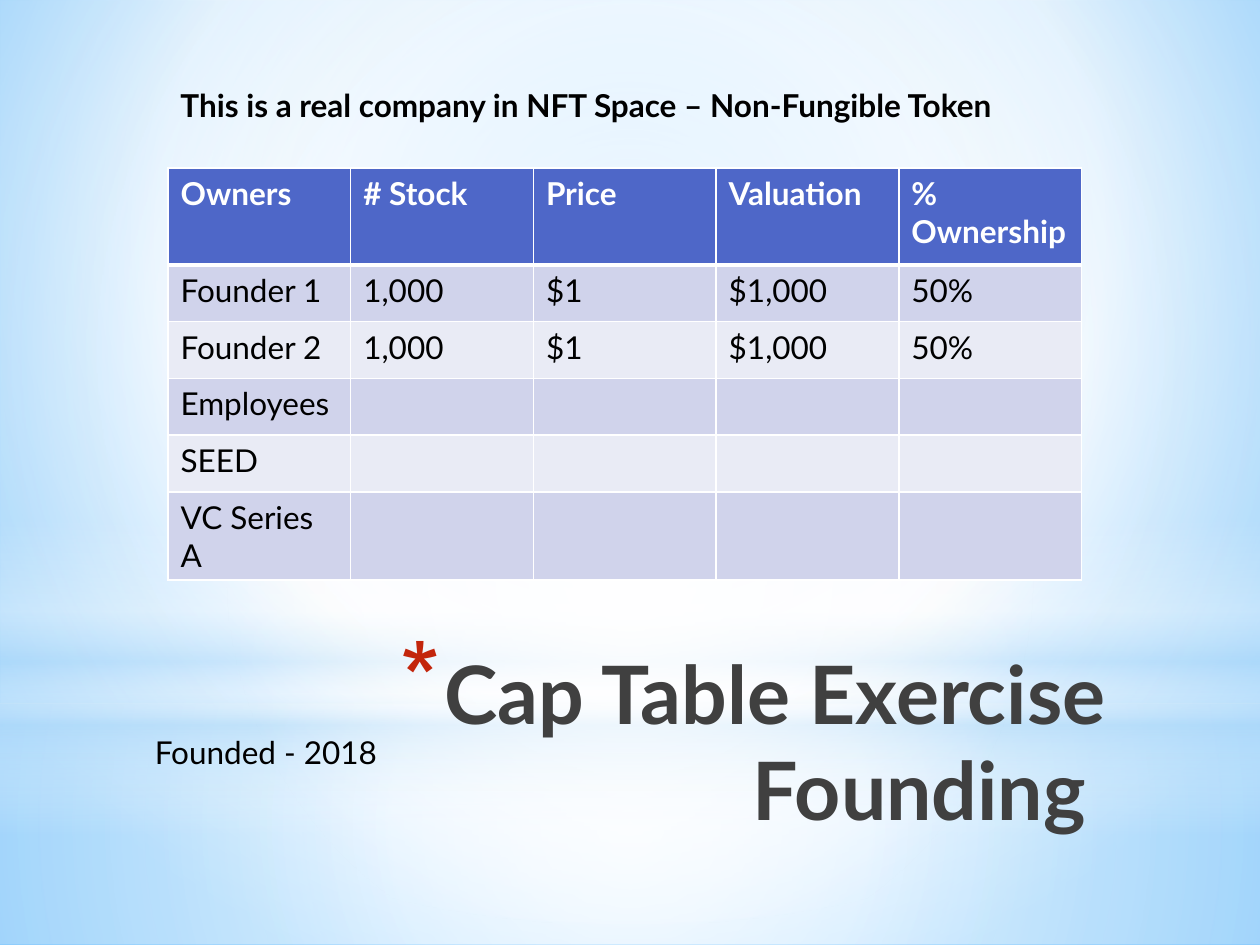
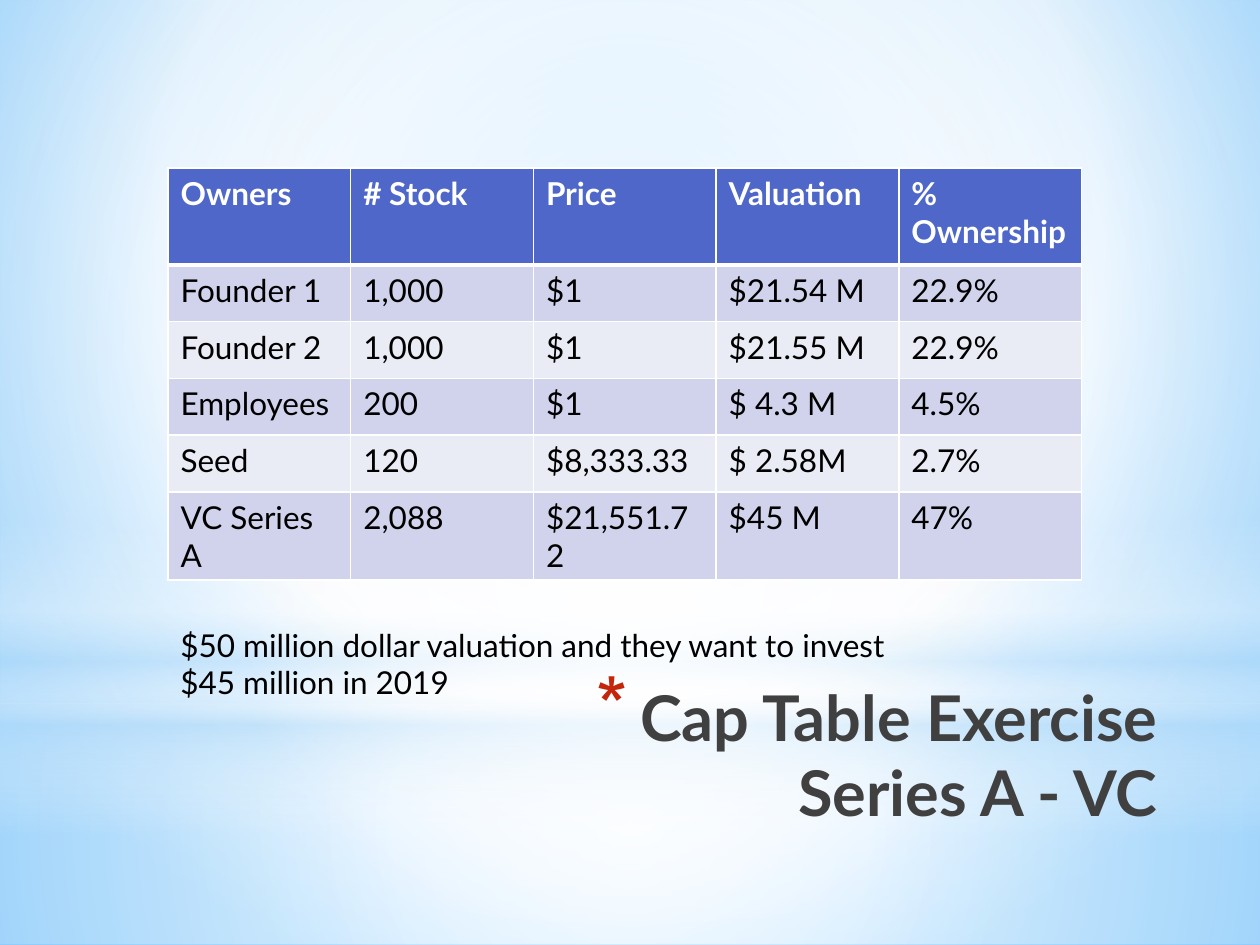
from lxml import etree
from pptx import Presentation
from pptx.dml.color import RGBColor
from pptx.enum.shapes import MSO_SHAPE
from pptx.enum.text import MSO_ANCHOR, PP_ALIGN
from pptx.oxml.ns import qn
from pptx.util import Pt

RECTANGLE = MSO_SHAPE.RECTANGLE
OVAL = MSO_SHAPE.OVAL
TOP = MSO_ANCHOR.TOP
LEFT = PP_ALIGN.LEFT
RIGHT = PP_ALIGN.RIGHT

FONT = "Lato"
BODY_SIZE = 18
TITLE_INDENT = 25.2
COLUMN_WIDTH = 104.4
HEADER_HEIGHT = 55.44
ROW_HEIGHT = 32.4
SLIDE_WIDTH = 720
TABLE_LEFT = 96
TABLE_TOP = 96

COLORS = {
    "sky": "9ED5FF",
    "deep_sky": "5BB9FF",
    "mist": "B4DCFA",
    "white": "FFFFFF",
    "black": "000000",
    "title": "404040",
    "bullet": "C3260C",
    "header": "4E67C8",
    "odd_row": "D0D3EB",
    "even_row": "E9EBF5",
}

CENTER = (50, 50, 50, 50)
BACKDROP_STOPS = [(0, "sky", 100), (60, "white", 100), (100, "deep_sky", 100)]
BACKDROP_FOCUS = (20, 10, 20, 60)
LAYERS = [
    (RECTANGLE, 402, 138, CENTER,
     [(0, "white", 91), (37, "white", 76), (100, "mist", 79)]),
    (RECTANGLE, 0, 402, CENTER,
     [(0, "white", 89), (48, "white", 62), (100, "mist", 79)]),
    (RECTANGLE, 297, 180, None,
     [(0, "white", 0), (29, "white", 30), (45, "mist", 40),
      (55, "white", 26), (65, "mist", 60), (100, "white", 0)]),
    (OVAL, 126, 402, CENTER, [(0, "white", 100), (56, "white", 0)]),
]

HEADINGS = ["Owners", "# Stock", "Price", "Valuation", "% Ownership"]
FOUNDING_ROWS = [
    ["Founder 1", "1,000", "$1", "$1,000", "50%"],
    ["Founder 2", "1,000", "$1", "$1,000", "50%"],
    ["Employees"],
    ["SEED"],
    ["VC Series A"],
]
SERIES_A_ROWS = [
    ["Founder 1", "1,000", "$1", "$21.54 M", "22.9%"],
    ["Founder 2", "1,000", "$1", "$21.55 M", "22.9%"],
    ["Employees", "200", "$1", "$ 4.3 M", "4.5%"],
    ["Seed", "120", "$8,333.33", "$ 2.58M", "2.7%"],
    ["VC Series A", "2,088", "$21,551.72", "$45 M", "47%"],
]


def rgb(color):
    return RGBColor.from_string(COLORS[color])


def add_element(parent, tag, **attributes):
    element = etree.SubElement(parent, qn(tag))
    for name, value in attributes.items():
        element.set(name, str(value))
    return element


def add_color(parent, color):
    return add_element(parent, "a:srgbClr", val=COLORS[color])


def paint_gradient(fill, owner, stops, focus):
    fill.solid()
    solid = owner.find(".//" + qn("a:solidFill"))
    gradient = etree.Element(qn("a:gradFill"), rotWithShape="1")
    stop_list = add_element(gradient, "a:gsLst")
    for position, color, opacity in stops:
        stop = add_element(stop_list, "a:gs", pos=position * 1000)
        stop_color = add_color(stop, color)
        if opacity < 100:
            add_element(stop_color, "a:alpha", val=opacity * 1000)
    if focus:
        circle = add_element(gradient, "a:path", path="circle")
        sides = {side: share * 1000 for side, share in zip("ltrb", focus)}
        add_element(circle, "a:fillToRect", **sides)
    else:
        add_element(gradient, "a:lin", ang=90 * 60000, scaled=0)
    solid.getparent().replace(solid, gradient)


def add_backdrop(slide):
    paint_gradient(slide.background.fill, slide.element, BACKDROP_STOPS, BACKDROP_FOCUS)
    for kind, top, height, focus, stops in LAYERS:
        shape = slide.shapes.add_shape(kind, 0, Pt(top), Pt(SLIDE_WIDTH), Pt(height))
        shape.shadow.inherit = False
        shape.line.fill.background()
        paint_gradient(shape.fill, shape.element, stops, focus)


def style_paragraph(paragraph, size, color, bold, alignment=LEFT):
    paragraph.alignment = alignment
    paragraph.font.name = FONT
    paragraph.font.size = Pt(size)
    paragraph.font.bold = bold
    paragraph.font.color.rgb = rgb(color)


def add_text(slide, text, left, top, width, height):
    box = slide.shapes.add_textbox(Pt(left), Pt(top), Pt(width), Pt(height))
    box.text_frame.word_wrap = True
    box.text_frame.vertical_anchor = TOP
    paragraph = box.text_frame.paragraphs[0]
    paragraph.text = text
    return paragraph


def add_note(slide, text, left, top, width, height, bold=False):
    paragraph = add_text(slide, text, left, top, width, height)
    style_paragraph(paragraph, BODY_SIZE, "black", bold)


def add_title(slide, text, left, top, size):
    paragraph = add_text(slide, text, left, top, 512.64, 90)
    properties = paragraph._p.get_or_add_pPr()
    properties.set("marL", str(Pt(TITLE_INDENT)))
    properties.set("indent", str(-Pt(TITLE_INDENT)))
    add_color(add_element(properties, "a:buClr"), "bullet")
    add_element(properties, "a:buSzPct", val=128000)
    add_element(properties, "a:buChar", char="*")
    style_paragraph(paragraph, size, "title", True, RIGHT)


def add_borders(cell, row_index):
    properties = cell._tc.get_or_add_tcPr()
    for edge in ("L", "R", "T", "B"):
        under_header = (row_index, edge) in ((0, "B"), (1, "T"))
        line = add_element(properties, f"a:ln{edge}", w=Pt(3 if under_header else 1))
        add_color(add_element(line, "a:solidFill"), "white")


def add_cap_table(slide, owner_rows):
    rows = [HEADINGS] + owner_rows
    frame = slide.shapes.add_table(
        len(rows), len(HEADINGS), Pt(TABLE_LEFT), Pt(TABLE_TOP),
        Pt(COLUMN_WIDTH * len(HEADINGS)),
        Pt(HEADER_HEIGHT + ROW_HEIGHT * len(owner_rows)))
    table = frame.table
    for column in table.columns:
        column.width = Pt(COLUMN_WIDTH)
    for row_index, values in enumerate(rows):
        is_header = row_index == 0
        table.rows[row_index].height = Pt(HEADER_HEIGHT if is_header else ROW_HEIGHT)
        band = "header" if is_header else "odd_row" if row_index % 2 else "even_row"
        for column_index in range(len(HEADINGS)):
            cell = table.cell(row_index, column_index)
            add_borders(cell, row_index)
            cell.fill.solid()
            cell.fill.fore_color.rgb = rgb(band)
            if column_index < len(values):
                cell.text = values[column_index]
                style_paragraph(cell.text_frame.paragraphs[0], BODY_SIZE,
                                "white" if is_header else "black", is_header)


def add_exercise_slide(presentation, title, left, top, size, owner_rows):
    slide = presentation.slides.add_slide(presentation.slide_layouts[6])
    add_backdrop(slide)
    add_title(slide, title, left, top, size)
    add_cap_table(slide, owner_rows)
    return slide


def main():
    presentation = Presentation()
    presentation.slide_width = Pt(SLIDE_WIDTH)
    presentation.slide_height = Pt(540)

    founding = add_exercise_slide(
        presentation, "Cap Table Exercise\vFounding ", 126, 364.32, 46, FOUNDING_ROWS)
    add_note(founding, "This is a real company in NFT Space – Non-Fungible Token",
             TABLE_LEFT, 45.36, 528, 29, bold=True)
    add_note(founding, "Founded - 2018", 81.36, 415.44, 312, 29)

    series_a = add_exercise_slide(
        presentation, "Cap Table Exercise\vSeries A - VC", 156, 384, 36, SERIES_A_ROWS)
    add_note(series_a,
             "$50 million dollar valuation and they want to invest $45 million in 2019",
             TABLE_LEFT, 354, 438, 51)

    presentation.save("out.pptx")


if __name__ == "__main__":
    main()
